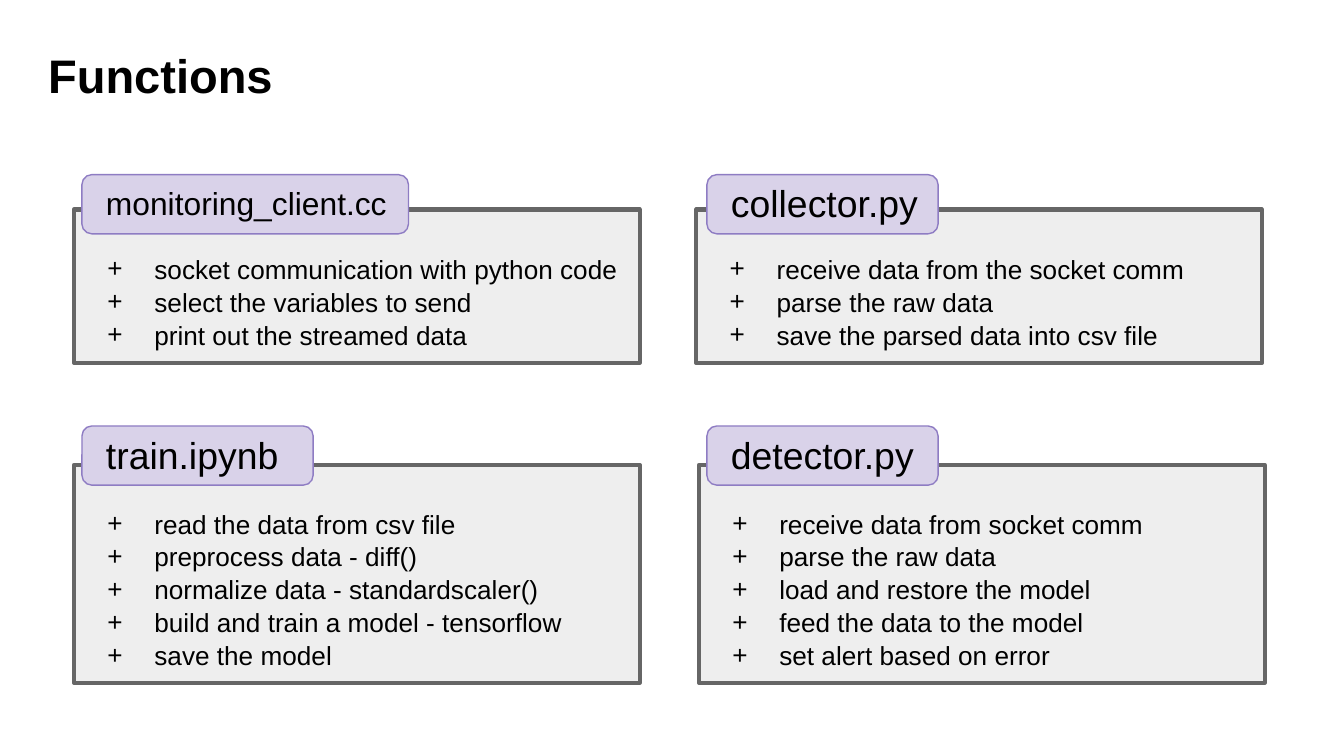
import pptx
import pptx.dml.color
import pptx.enum.shapes
import pptx.enum.text
import pptx.oxml.ns
import pptx.util
from lxml import etree

Inches = pptx.util.Inches
Pt = pptx.util.Pt
MIDDLE = pptx.enum.text.MSO_ANCHOR.MIDDLE


def color(value):
    """Turn a hex string into a colour."""
    return pptx.dml.color.RGBColor.from_string(value)


class FunctionSlide:
    """Hold the style and the current slide."""

    font = "Arial"
    ink = "000000"
    card_fill, card_line = "EEEEEE", "666666"
    tab_fill, tab_line = "D9D2E9", "8E7CC3"

    def __init__(self, presentation):
        self.slide = presentation.slides.add_slide(presentation.slide_layouts[6])

    def style_paragraph(self, paragraph, size, bold=False):
        paragraph.alignment = pptx.enum.text.PP_ALIGN.LEFT
        for run in paragraph.runs:
            run.font.name = self.font
            run.font.size = Pt(size)
            run.font.bold = bold
            run.font.color.rgb = color(self.ink)

    def add_bullet(self, paragraph):
        properties = paragraph._p.get_or_add_pPr()
        properties.set("marL", str(Inches(0.5)))
        properties.set("indent", str(Inches(-0.35)))
        bullet_color = etree.SubElement(properties, pptx.oxml.ns.qn("a:buClr"))
        etree.SubElement(bullet_color, pptx.oxml.ns.qn("a:srgbClr"), val=self.ink)
        etree.SubElement(properties, pptx.oxml.ns.qn("a:buFont"), typeface=self.font)
        etree.SubElement(properties, pptx.oxml.ns.qn("a:buChar"), char="+")

    def set_frame(self, text_frame, top=0.1):
        text_frame.word_wrap = True
        text_frame.vertical_anchor = MIDDLE
        text_frame.margin_left = text_frame.margin_right = Inches(0.1)
        text_frame.margin_top, text_frame.margin_bottom = Inches(top), Inches(0.1)

    def add_box(self, shapes, kind, place, fill, line, width):
        shape = shapes.add_shape(kind, *map(Inches, place))
        shape.shadow.inherit = False
        shape.fill.solid()
        shape.fill.fore_color.rgb = color(fill)
        shape.line.color.rgb = color(line)
        shape.line.width = Pt(width)
        return shape

    def add_text(self, shapes, place, text, size, bold=False):
        text_frame = shapes.add_textbox(*map(Inches, place)).text_frame
        self.set_frame(text_frame)
        text_frame.text = text
        self.style_paragraph(text_frame.paragraphs[0], size, bold)

    def add_title(self, text):
        self.add_text(self.slide.shapes, (0.26, 0.24, 9.32, 0.63), text, 25.2, True)

    def add_card(self, left, top, height, items):
        shape = self.add_box(
            self.slide.shapes, pptx.enum.shapes.MSO_SHAPE.RECTANGLE,
            (left, top, 4.21, height), self.card_fill, self.card_line, 2.25)
        text_frame = shape.text_frame
        self.set_frame(text_frame, top=0.32)
        text_frame.text = "\n".join(items)
        for paragraph in text_frame.paragraphs:
            self.add_bullet(paragraph)
            self.style_paragraph(paragraph, 14)
            paragraph.line_spacing = 1.05

    def add_tab(self, left, top, width, text, size):
        group = self.slide.shapes.add_group_shape()
        shape = self.add_box(
            group.shapes, pptx.enum.shapes.MSO_SHAPE.ROUNDED_RECTANGLE,
            (left, top, width, 0.44), self.tab_fill, self.tab_line, 0.75)
        shape.adjustments[0] = 0.167
        self.add_text(group.shapes, (left + 0.08, top - 0.06, width, 0.54), text, size)


def main():
    """Build the slide and save it."""
    presentation = pptx.Presentation()
    presentation.slide_width = Inches(10)
    presentation.slide_height = Inches(10 * 9 / 16)
    slide = FunctionSlide(presentation)
    slide.add_title("Functions")

    rows = {"upper": (1.3, 1.56, 1.14), "lower": (3.17, 3.46, 1.62)}
    modules = [
        ("monitoring_client.cc", "upper", 0.55, 0.61, 2.43, 17,
         ["socket communication with python code",
          "select the variables to send",
          "print out the streamed data"]),
        ("collector.py", "upper", 5.18, 5.26, 1.72, 20,
         ["receive data from the socket comm",
          "parse the raw data",
          "save the parsed data into csv file"]),
        ("train.ipynb", "lower", 0.55, 0.61, 1.72, 20,
         ["read the data from csv file",
          "preprocess data - diff()",
          "normalize data - standardscaler()",
          "build and train a model - tensorflow",
          "save the model"]),
        ("detector.py", "lower", 5.2, 5.26, 1.72, 20,
         ["receive data from socket comm",
          "parse the raw data",
          "load and restore the model",
          "feed the data to the model",
          "set alert based on error"]),
    ]
    for name, row, card_left, tab_left, tab_width, size, items in modules:
        tab_top, card_top, card_height = rows[row]
        slide.add_card(card_left, card_top, card_height, items)
        slide.add_tab(tab_left, tab_top, tab_width, name, size)

    presentation.save("out.pptx")


if __name__ == "__main__":
    main()
